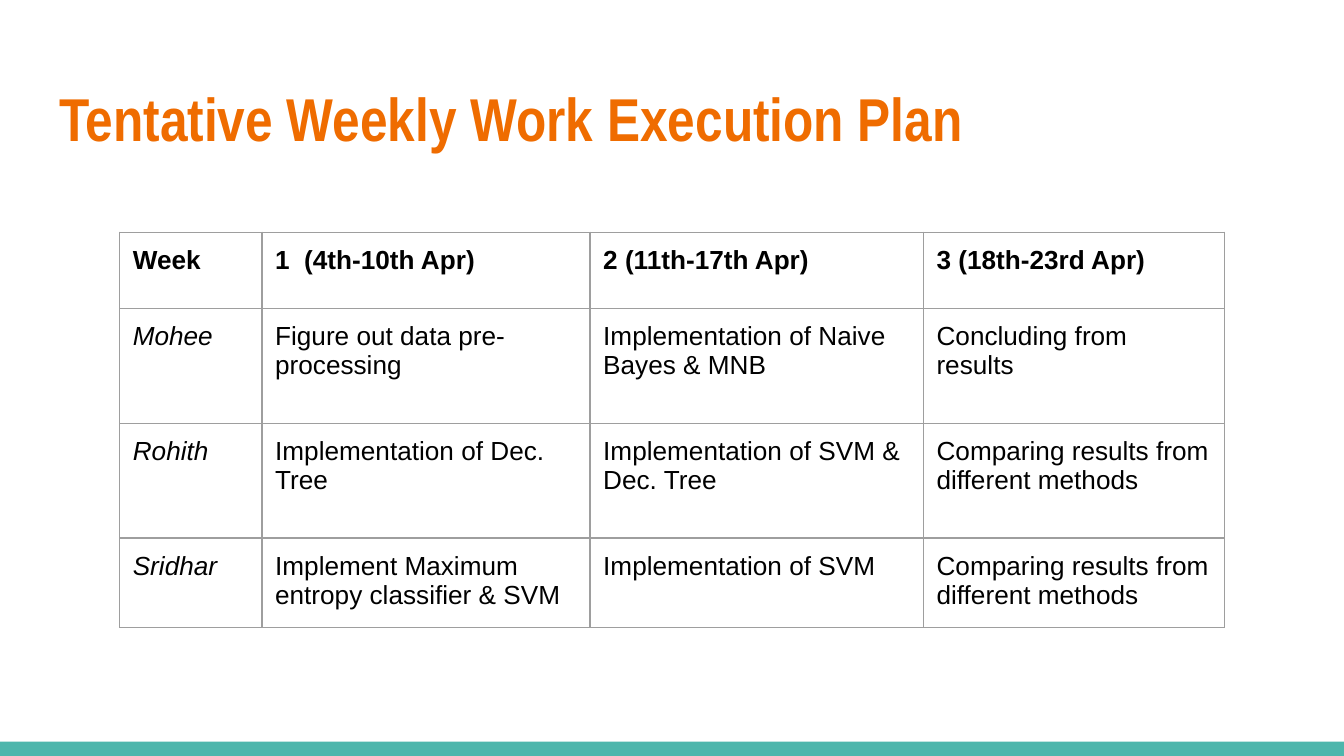
from lxml import etree
from pptx import Presentation
from pptx.dml.color import RGBColor
from pptx.enum import shapes, text
from pptx.oxml import ns
from pptx.util import Cm, Pt

ORANGE = RGBColor(0xEF, 0x6C, 0x00)
TEAL = RGBColor(0x4D, 0xB6, 0xAC)
GRAY = RGBColor(0x9E, 0x9E, 0x9E)
BLACK = RGBColor(0, 0, 0)

TITLE = "Tentative Weekly Work Execution Plan"
PLAN = [
    ("Week", "1  (4th-10th Apr)", "2 (11th-17th Apr)", "3 (18th-23rd Apr)"),
    ("Mohee", "Figure out data pre-processing",
     "Implementation of Naive Bayes & MNB", "Concluding from results"),
    ("Rohith", "Implementation of Dec. Tree",
     "Implementation of SVM & Dec. Tree", "Comparing results from different methods"),
    ("Sridhar", "Implement Maximum entropy classifier & SVM",
     "Implementation of SVM", "Comparing results from different methods"),
]
COLUMN_WIDTHS = [2.69, 6.2, 6.3, 5.69]
ROW_HEIGHTS = [1.44, 2.17, 2.17, 1.62]
INSET = Cm(0.25)
MARGINS = {f"margin_{side}": INSET for side in ("left", "top", "right", "bottom")}
TITLE_FONT = {"name": "Arial Narrow", "size": Pt(32.4), "bold": True}
CELL_FONT = {"name": "Arial", "size": Pt(14)}


def set_all(target, values):
    for name, value in values.items():
        setattr(target, name, value)


def write(paragraph, words, font, color):
    run = paragraph.add_run()
    run.text = words
    set_all(run.font, font)
    run.font.color.rgb = color


def add_borders(cell):
    properties = cell._tc.get_or_add_tcPr()
    for side in ("lnL", "lnR", "lnT", "lnB"):
        line = etree.SubElement(properties, ns.qn(f"a:{side}"), w=str(Pt(0.75)))
        fill = etree.SubElement(line, ns.qn("a:solidFill"))
        etree.SubElement(fill, ns.qn("a:srgbClr"), val=str(GRAY))


def add_title(slide):
    title = slide.shapes.add_textbox(Cm(0.87), Cm(1.24), Cm(23.67), Cm(1.96))
    frame = title.text_frame
    set_all(frame, MARGINS | {"word_wrap": True,
                              "vertical_anchor": text.MSO_ANCHOR.MIDDLE})
    write(frame.paragraphs[0], TITLE, TITLE_FONT, ORANGE)


def add_plan(slide):
    plan = slide.shapes.add_table(
        len(PLAN), len(PLAN[0]), Cm(2.26), Cm(4.39),
        Cm(sum(COLUMN_WIDTHS)), Cm(sum(ROW_HEIGHTS))).table
    set_all(plan, {"first_row": False, "horz_banding": False})
    for column, width in zip(plan.columns, COLUMN_WIDTHS):
        column.width = Cm(width)
    for row, height in zip(plan.rows, ROW_HEIGHTS):
        row.height = Cm(height)
    for r, entries in enumerate(PLAN):
        for c, words in enumerate(entries):
            cell = plan.cell(r, c)
            set_all(cell, MARGINS)
            add_borders(cell)
            cell.fill.background()
            emphasis = {"bold": r == 0, "italic": r > 0 and c == 0}
            write(cell.text_frame.paragraphs[0], words, CELL_FONT | emphasis, BLACK)


def main():
    deck = Presentation()
    deck.slide_width, deck.slide_height = Cm(25.4), Cm(14.29)
    slide = deck.slides.add_slide(deck.slide_layouts[6])

    bar_height = Cm(0.27)
    bar = slide.shapes.add_shape(
        shapes.MSO_SHAPE.RECTANGLE, 0, deck.slide_height - bar_height,
        deck.slide_width, bar_height)
    bar.shadow.inherit = False
    bar.fill.solid()
    bar.fill.fore_color.rgb = TEAL
    bar.line.fill.background()

    add_title(slide)
    add_plan(slide)
    deck.save("out.pptx")


if __name__ == "__main__":
    main()
